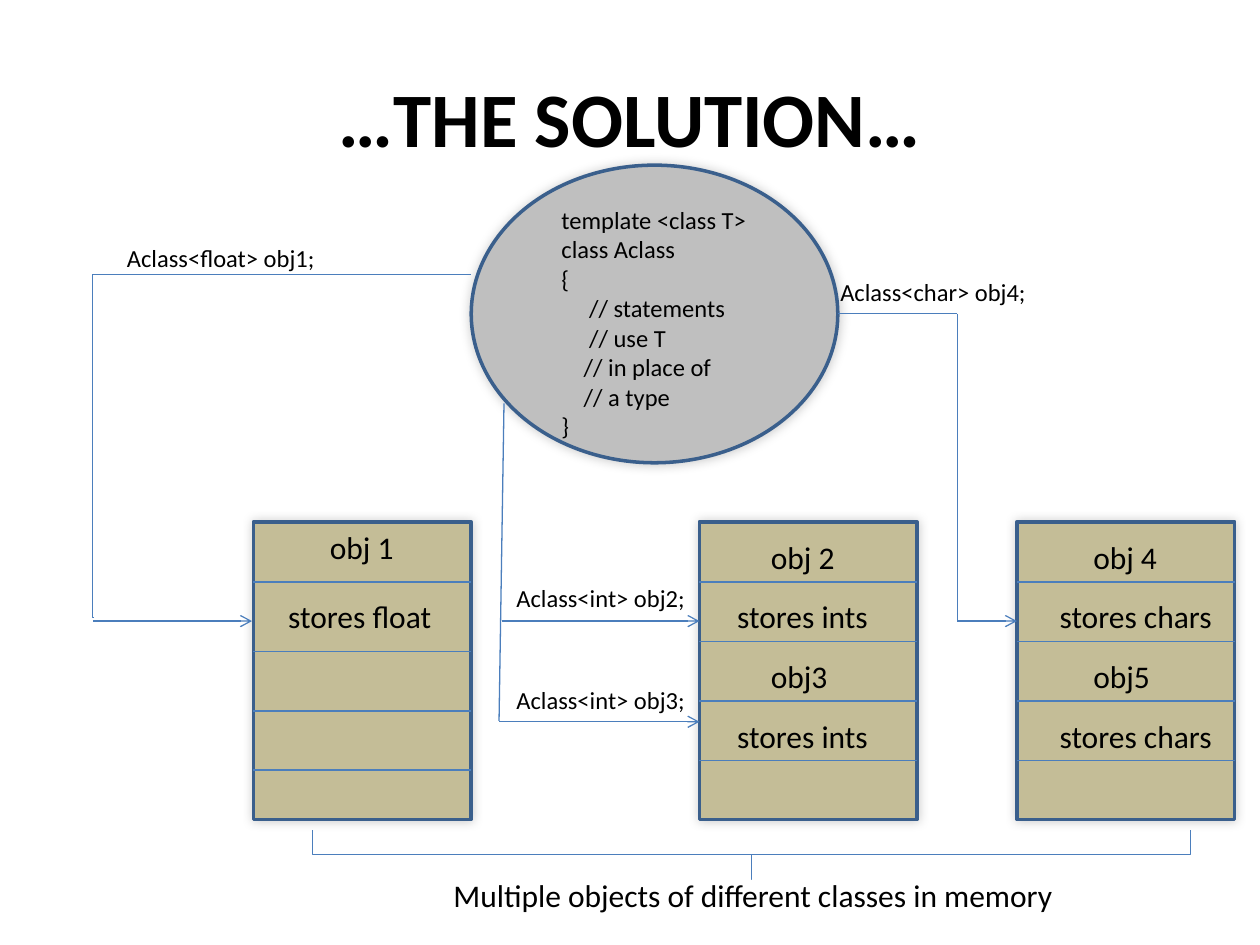
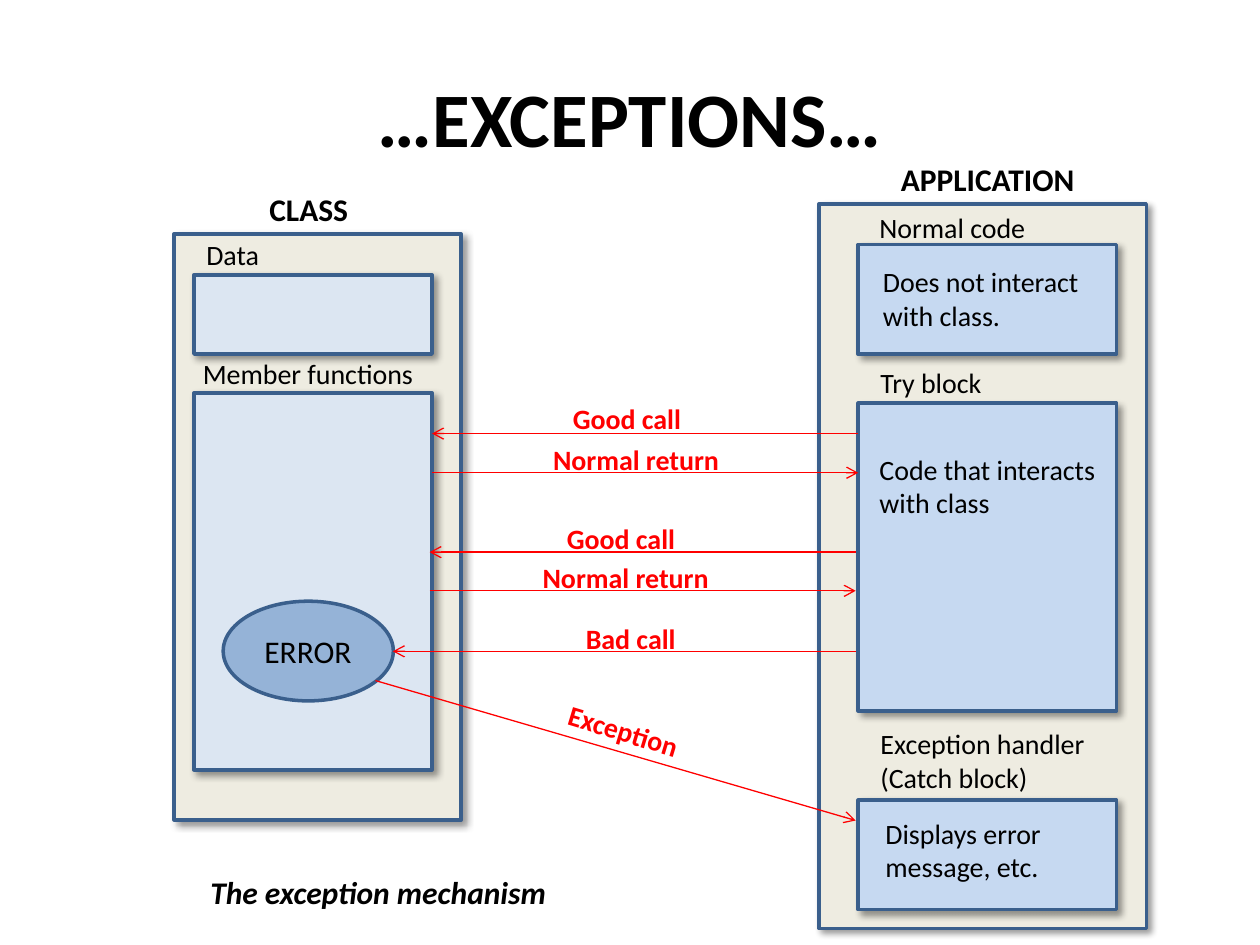
from dataclasses import dataclass, field
from typing import NamedTuple

from lxml.etree import SubElement
from pptx import Presentation
from pptx.dml.color import RGBColor as RGB
from pptx.enum.shapes import MSO_CONNECTOR as Link, MSO_SHAPE as Kind
from pptx.enum.text import MSO_ANCHOR as Anchor, MSO_AUTO_SIZE as Fit, PP_ALIGN as Align
from pptx.oxml.ns import qn
from pptx.util import Cm, Pt


class Shade(NamedTuple):
    """Outer shadow: opacity in percent, blur and offset in points, angle."""
    alpha: int
    blur: int
    dist: int
    angle: int


@dataclass(frozen=True)
class Theme:
    """Colours, type sizes and strokes of both slides."""
    font: str = "Calibri"
    ink: str = "000000"
    edge: str = "3A5F8C"
    wire: str = "4B7EBC"
    alert: str = "FF0000"
    grey: str = "BFBFBF"
    tan: str = "C4BD97"
    cream: str = "EEECE1"
    pale: str = "DCE6F2"
    sky: str = "C6D9F1"
    steel: str = "95B3D7"
    head: int = 44
    big: int = 18
    mid: int = 16
    small: int = 14
    thick: float = 2
    thin: float = 0.75
    glow: Shade = Shade(20, 6, 0, 225)
    drop: Shade = Shade(40, 4, 3, 45)


T = Theme()
BOLD = {"bold": True}


@dataclass
class Note:
    """Text in a box that fits it; lengths in cm, indents in points."""
    text: str
    x: float
    y: float
    w: float
    size: int = T.mid
    color: str = T.ink
    style: dict = field(default_factory=dict)
    turn: float = 0
    dents: tuple = ()


class Box(NamedTuple):
    """Filled shape with an edge."""
    x: float
    y: float
    w: float
    h: float
    fill: str
    shade: Shade | None = None
    kind: Kind = Kind.RECTANGLE


class Wire(NamedTuple):
    """Line between two points, with or without an arrowhead."""
    x1: float
    y1: float
    x2: float
    y2: float
    arrow: bool = False


class Stack(NamedTuple):
    """Memory block: its left edge, row lines and labels."""
    x: float
    rows: list[float]
    notes: list[Note]


class Call(NamedTuple):
    """Message between class and application, with its label."""
    wire: Wire
    text: str
    x: float
    y: float
    w: float
    turn: float = 0


def put(item: object, values: dict) -> None:
    """Set attributes from a dict."""
    for name, value in values.items():
        setattr(item, name, value)


def draw_note(slide, note: Note):
    """Draw a text box, one paragraph a line."""
    lines = note.text.split("\n")
    high = 0.25 + 0.043 * note.size * len(lines)
    shape = slide.shapes.add_textbox(Cm(note.x), Cm(note.y), Cm(note.w), Cm(high))
    shape.rotation = note.turn
    frame = shape.text_frame
    put(frame, {"word_wrap": False, "auto_size": Fit.SHAPE_TO_FIT_TEXT})
    look = {"name": T.font, "size": Pt(note.size), **note.style}
    for i, line in enumerate(lines):
        para = frame.add_paragraph() if i else frame.paragraphs[0]
        run = para.add_run()
        run.text = line
        put(run.font, look)
        run.font.color.rgb = RGB.from_string(note.color)
        if note.dents and note.dents[i]:
            para._p.get_or_add_pPr().set("marL", str(Pt(note.dents[i])))
    return shape


def draw_title(slide, text: str) -> None:
    """Draw the slide title."""
    shape = draw_note(slide, Note(text, 1.27, 0.76, 22.86, T.head, style=BOLD))
    put(shape.text_frame, {"word_wrap": True, "auto_size": Fit.NONE,
                           "vertical_anchor": Anchor.MIDDLE})
    shape.text_frame.paragraphs[0].alignment = Align.CENTER
    shape.height = Cm(3.18)


def stroke(shape, color: str, width: float) -> None:
    """Give a shape or connector its line."""
    shape.line.color.rgb = RGB.from_string(color)
    shape.line.width = Pt(width)


def draw_box(slide, box: Box) -> None:
    """Draw a filled shape, with its shadow if it has one."""
    shape = slide.shapes.add_shape(box.kind, *map(Cm, box[:4]))
    shape.fill.solid()
    shape.fill.fore_color.rgb = RGB.from_string(box.fill)
    stroke(shape, T.edge, T.thick)
    shape.shadow.inherit = False
    if box.shade:
        alpha, blur, dist, angle = box.shade
        cast = SubElement(shape.element.spPr.find(qn("a:effectLst")), qn("a:outerShdw"),
                          blurRad=str(Pt(blur)), dist=str(Pt(dist)),
                          dir=str(angle * 60000), algn="ctr", rotWithShape="0")
        tint = SubElement(cast, qn("a:srgbClr"), val=T.ink)
        SubElement(tint, qn("a:alpha"), val=str(alpha * 1000))


def draw_wire(slide, wire: Wire, color: str = T.wire, kind: Link = Link.STRAIGHT):
    """Draw a connector."""
    line = slide.shapes.add_connector(kind, *map(Cm, wire[:4]))
    stroke(line, color, T.thin)
    props = line.element.spPr
    if wire.arrow:
        SubElement(props.find(qn("a:ln")), qn("a:tailEnd"), type="arrow")
    SubElement(props, qn("a:effectLst"))
    return line


def draw_elbow(slide, wire: Wire, bend: float) -> None:
    """Draw a bent connector; bend is where it turns, as a share of its width."""
    line = draw_wire(slide, wire, kind=Link.ELBOW)
    guides = line.element.spPr.find(qn("a:prstGeom")).find(qn("a:avLst"))
    SubElement(guides, qn("a:gd"), name="adj1", fmla=f"val {round(bend * 100000)}")


def draw_brace(slide) -> None:
    """Draw the square brace under the memory blocks."""
    shape = slide.shapes.add_shape(Kind.LEFT_BRACE, Cm(14.66), Cm(8.38), Cm(0.99), Cm(17.7))
    shape.adjustments[0] = 0
    shape.adjustments[1] = 0.5
    shape.rotation = 270
    shape.fill.background()
    stroke(shape, T.wire, T.thin)
    shape.shadow.inherit = False


def draw_stack(slide, stack: Stack) -> None:
    """Draw a memory block with row lines and labels."""
    wide = 4.39
    draw_box(slide, Box(stack.x, 10.52, wide, 6, T.tan, T.glow))
    for y in stack.rows:
        draw_wire(slide, Wire(stack.x, y, stack.x + wide, y))
    for note in stack.notes:
        draw_note(slide, note)


def pair_stack(x: float, inset: float, names: tuple, kind: str, wide: float) -> Stack:
    """Plan a block that holds two objects of one kind."""
    step, left = 1.2, x + inset
    notes = []
    for i, (name, width) in enumerate(zip(names, (1.8, 1.68))):
        y = 10.72 + 2 * i * step
        notes += [Note(name, left + 0.68, y, width, T.big),
                  Note(f"stores {kind}", left, y + step, wide, T.big)]
    return Stack(x, [11.73 + i * step for i in range(4)], notes)


def solution(slide) -> None:
    """Build the template class slide."""
    draw_title(slide, "…THE SOLUTION…")
    draw_box(slide, Box(9.5, 3.33, 7.39, 6, T.grey, T.glow, Kind.OVAL))
    code = ("template <class T>\nclass Aclass\n{\n// statements\n// use T\n"
            "// in place of\n// a type\n}")
    draw_note(slide, Note(code, 11.07, 4.01, 4.27, T.small,
                          dents=(0, 0, 0, 15.8, 15.8, 12.7, 12.7, 0)))
    draw_elbow(slide, Wire(9.5, 5.54, 1.9, 12.45), 1.004)
    floats = [Note("obj 1", 6.4, 10.52, 1.8, T.big),
              Note("stores float", 5.56, 11.91, 3.43, T.big)]
    for stack in (
        Stack(5.11, [11.73, 13.13, 14.33, 15.52], floats),
        pair_stack(14.1, 0.51, ("obj 2", "obj3"), "ints", 3.18),
        pair_stack(20.5, 0.61, ("obj 4", "obj5"), "chars", 3.61),
    ):
        draw_stack(slide, stack)
    mid = 12.52
    for wire in (
        Wire(1.88, mid, 5.08, mid, True),
        Wire(10.16, 8.13, 10.06, 14.53),
        Wire(10.06, 14.55, 14.1, 14.55, True),
        Wire(10.11, mid, 14.1, mid, True),
        Wire(16.89, 6.32, 19.3, 6.32),
        Wire(19.3, 6.32, 19.3, mid),
        Wire(19.3, mid, 20.5, mid, True),
    ):
        draw_wire(slide, wire)
    for kind, name, x, y, w in (
        ("float", "obj1", 2.31, 4.78, 4.34),
        ("int", "obj2", 10.16, 11.63, 3.94),
        ("int", "obj3", 10.16, 13.69, 3.94),
        ("char", "obj4", 16.69, 5.46, 4.29),
    ):
        draw_note(slide, Note(f"Aclass<{kind}> {name};", x, y, w, T.small))
    draw_brace(slide)
    draw_note(slide, Note("Multiple objects of different classes in memory",
                          8.89, 17.53, 12.75, T.big))


def faults(slide) -> None:
    """Build the exception mechanism slide."""
    draw_title(slide, "…EXCEPTIONS…")
    for box in (
        Box(3.51, 4.72, 5.79, 11.81, T.cream, T.drop),
        Box(3.91, 5.54, 4.8, 1.6, T.pale, T.drop),
        Box(3.91, 7.92, 4.8, 7.6, T.pale, T.drop),
        Box(16.51, 4.11, 6.6, 14.61, T.cream, T.drop),
        Box(17.3, 4.93, 5.21, 2.21, T.sky, T.drop),
        Box(17.3, 8.13, 5.21, 6.2, T.sky, T.drop),
        Box(17.3, 16.13, 5.21, 2.21, T.sky, T.drop),
        Box(4.5, 12.12, 3.43, 2.01, T.steel, kind=Kind.OVAL),
    ):
        draw_box(slide, box)
    for note in (
        Note("CLASS", 5.18, 3.71, 2.11, T.big, style=BOLD),
        Note("APPLICATION", 17.91, 3.1, 4.04, T.big, style=BOLD),
        Note("Data", 3.91, 4.67, 1.57),
        Note("Member functions", 3.84, 7.06, 4.8),
        Note("ERROR", 5.08, 12.62, 2.29, T.big),
        Note("Normal code", 17.48, 4.11, 3.48),
        Note("Does not interact\nwith class.", 17.55, 5.21, 4.52),
        Note("Try block", 17.5, 7.24, 2.57),
        Note("Code that interacts\nwith class", 17.48, 8.99, 4.93),
        Note("Exception handler\n(Catch block)", 17.5, 14.53, 4.67),
        Note("Displays error\nmessage, etc.", 17.6, 16.33, 3.68),
        Note("The exception mechanism", 3.99, 17.48, 7.32, T.big,
             style={**BOLD, "italic": True}),
    ):
        draw_note(slide, note)
    for call in (
        Call(Wire(17.3, 8.74, 8.71, 8.74, True), "Good call", 11.3, 7.98, 2.72),
        Call(Wire(8.71, 9.53, 17.3, 9.53, True), "Normal return", 10.9, 8.79, 3.91),
        Call(Wire(17.25, 11.13, 8.66, 11.13, True), "Good call", 11.18, 10.39, 2.72),
        Call(Wire(8.66, 11.91, 17.25, 11.91, True), "Normal return", 10.69, 11.18, 3.91),
        Call(Wire(17.25, 13.13, 7.92, 13.13, True), "Bad call", 11.56, 12.4, 2.34),
        Call(Wire(7.57, 13.72, 17.25, 16.54, True), "Exception", 11.18, 14.27, 2.82, 16.8),
    ):
        draw_wire(slide, call.wire, T.alert)
        draw_note(slide, Note(call.text, call.x, call.y, call.w, color=T.alert,
                              style=BOLD, turn=call.turn))


deck = Presentation()
put(deck, {"slide_width": Cm(25.4), "slide_height": Cm(19.05)})
for build in (solution, faults):
    build(deck.slides.add_slide(deck.slide_layouts[6]))
deck.save("out.pptx")
